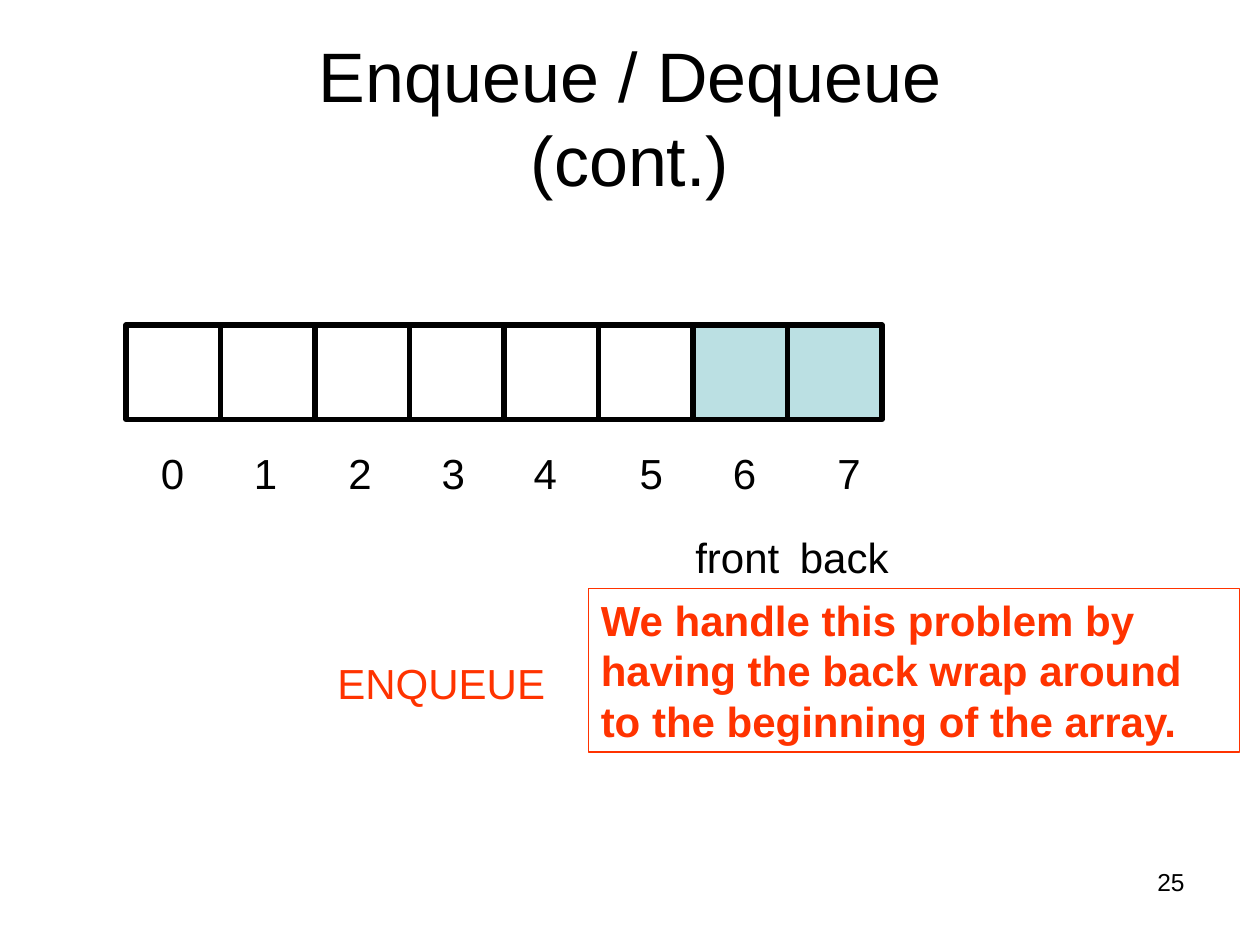
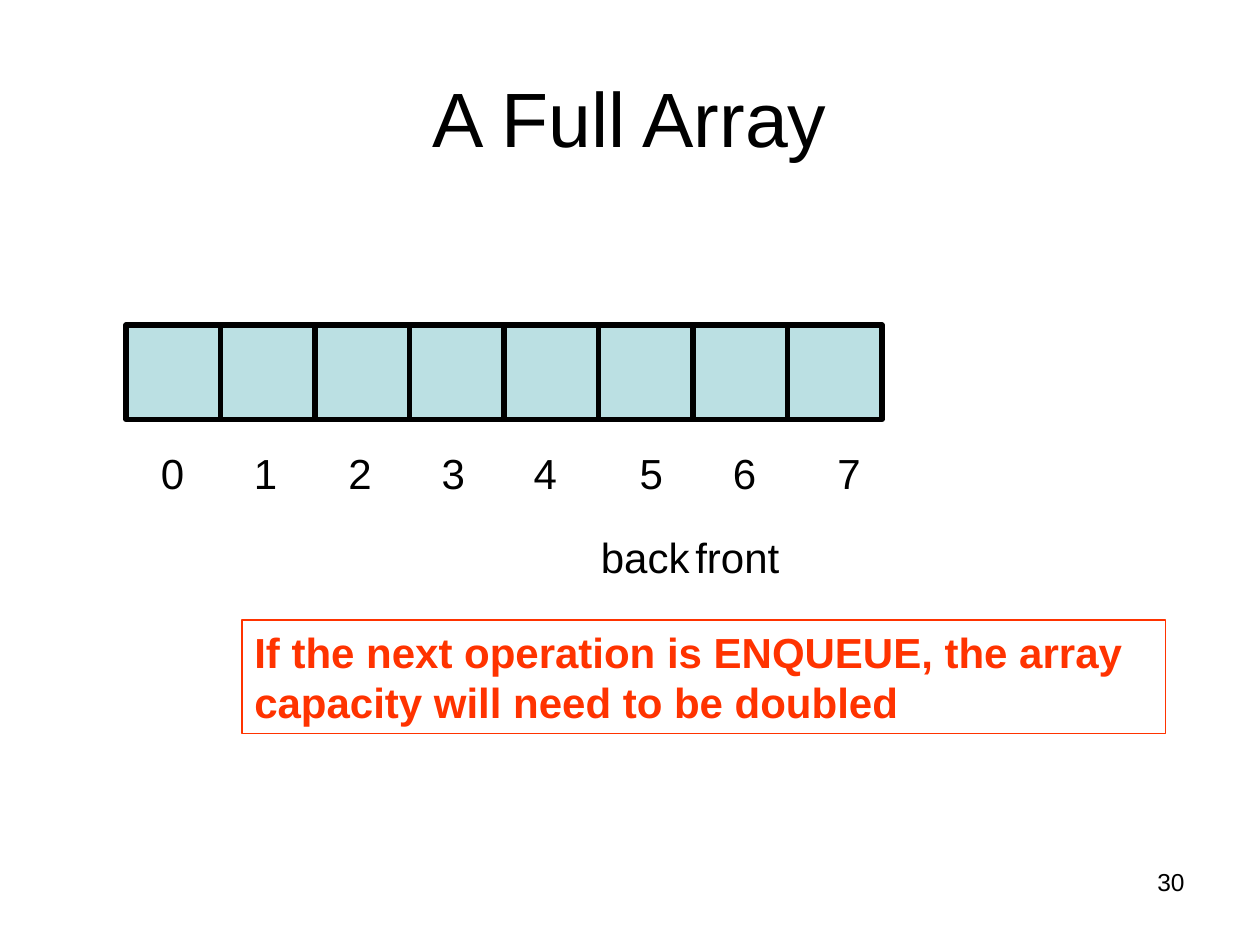
"""Build two slides on a queue held in a circular array."""
from lxml import etree
from pptx import Presentation
from pptx import util as u
from pptx.dml.color import RGBColor
from pptx.enum import shapes, text
from pptx.oxml.ns import qn

COLORS = {"ink": "000000", "alert": "FF3300", "filled": "BBE0E3"}
FONT = "Arial"
CELL_COUNT, CELL_SIZE = 8, 0.75
ARRAY_LEFT, ARRAY_TOP = 1, 2.58
LABEL_TOP = 4.17
INDEX_STOPS = [0.27, 1.01, 1.76, 2.5, 3.23, 4.07, 4.81, 5.64]


def color(name):
    return RGBColor.from_string(COLORS[name])


def write(box, words, size=24, ink="ink", bold=False,
          align=text.PP_ALIGN.LEFT, anchor=text.MSO_ANCHOR.TOP):
    frame = box.text_frame
    frame.word_wrap = True
    frame.vertical_anchor = anchor
    para = frame.paragraphs[0]
    para.text = words
    para.alignment = align
    para.font.name = FONT
    para.font.size = u.Pt(size)
    para.font.bold = bold
    para.font.color.rgb = color(ink)
    return para


def add_text(page, area, words, **style):
    box = page.shapes.add_textbox(*map(u.Inches, area))
    return write(box, words, **style)


def add_box(page, area, line, width, fill=None):
    box = page.shapes.add_shape(shapes.MSO_SHAPE.RECTANGLE, *map(u.Inches, area))
    box.shadow.inherit = False
    box.line.color.rgb = color(line)
    box.line.width = u.Pt(width)
    if fill:
        box.fill.solid()
        box.fill.fore_color.rgb = color(fill)
    else:
        box.fill.background()
    return box


def add_note(page, area, words):
    write(add_box(page, area, "alert", 0.74), words, ink="alert", bold=True)


def add_indexes(page):
    words = "".join(f"\t{index}" for index in range(CELL_COUNT))
    para = add_text(page, (ARRAY_LEFT, 3.5, 6.25, 0.5), words)
    properties = para._p.get_or_add_pPr()
    stops = etree.Element(qn("a:tabLst"))
    for stop in INDEX_STOPS:
        etree.SubElement(stops, qn("a:tab"), pos=str(u.Inches(stop)), algn="ctr")
    properties.insert_element_before(stops, "a:defRPr", "a:extLst")


def add_array(page, filled):
    for index in range(CELL_COUNT):
        area = (ARRAY_LEFT + index * CELL_SIZE, ARRAY_TOP, CELL_SIZE, CELL_SIZE)
        add_box(page, area, "ink", 3, "filled" if index in filled else None)
    add_indexes(page)


def add_page(deck, title, title_size, number, filled, back_left):
    page = deck.slides.add_slide(deck.slide_layouts[6])
    add_text(page, (0.5, 0.3, 9, 1.25), title, size=title_size,
             align=text.PP_ALIGN.CENTER, anchor=text.MSO_ANCHOR.MIDDLE)
    add_array(page, filled)
    add_text(page, (5.42, LABEL_TOP, 1.17, 0.5), "front")
    add_text(page, (back_left, LABEL_TOP, 1.42, 0.5), "back")
    add_text(page, (7.17, 6.83, 2.33, 0.52), str(number), size=14,
             align=text.PP_ALIGN.RIGHT)
    return page


def main():
    deck = Presentation()
    deck.slide_width, deck.slide_height = u.Inches(10), u.Inches(7.5)

    wrap = add_page(deck, "Enqueue / Dequeue\v(cont.)", 40, 25, {6, 7}, 6.25)
    add_text(wrap, (2.58, 5.17, 3, 0.5), "ENQUEUE", ink="alert")
    add_note(wrap, (4.67, 4.67, 5.17, 1.3),
             "We handle this problem by having the back wrap around "
             "to the beginning of the array.")

    full = add_page(deck, "A Full Array", 44, 30, range(CELL_COUNT), 4.67)
    add_note(full, (1.92, 4.92, 7.33, 0.9),
             "If the next operation is ENQUEUE, the array capacity "
             "will need to be doubled")

    deck.save("out.pptx")


main()
